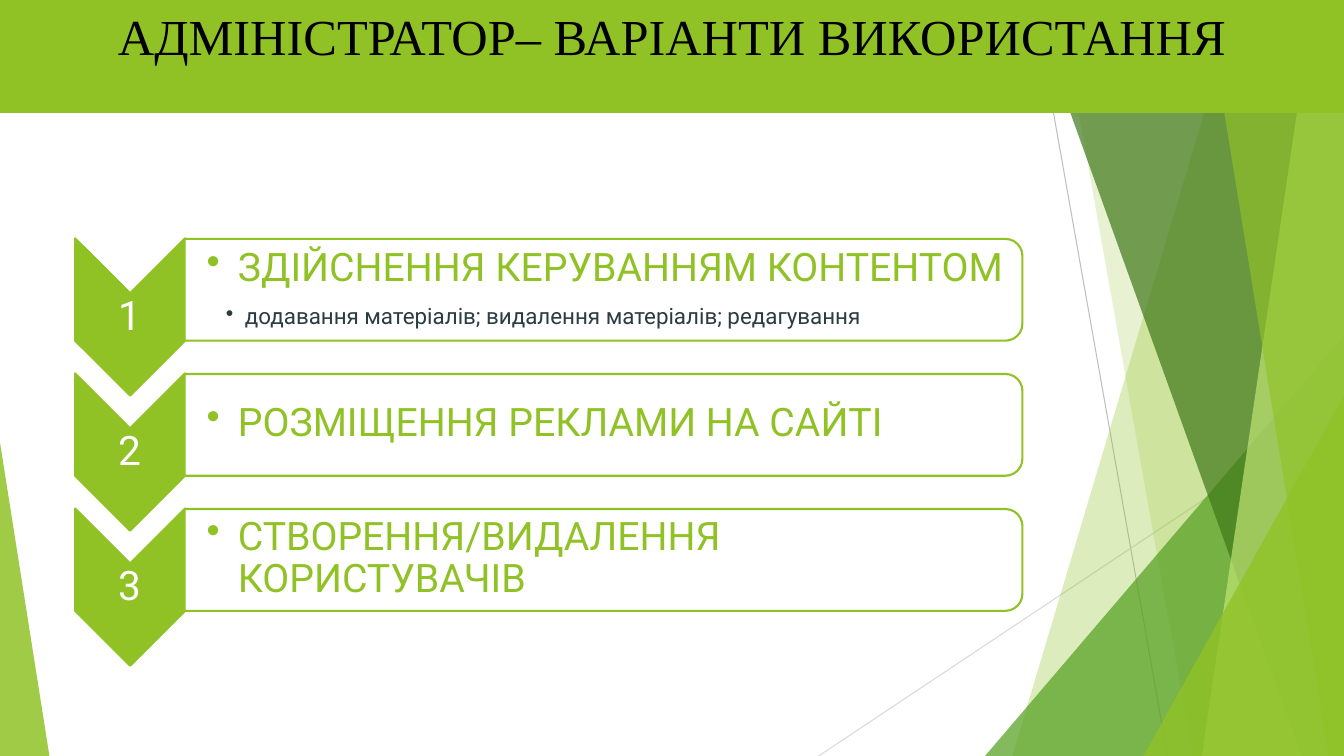
from lxml import etree
from pptx import Presentation
from pptx import util as u
from pptx.dml import color
from pptx.enum import shapes, text
from pptx.oxml import ns

COLORS = {
    "lime": "90C226", "green": "54A021", "forest": "3F7819", "pale": "C0E474",
    "white": "FFFFFF", "black": "000000", "slate": "2C3C43",
    "silver": "BFBFBF", "mist": "D9D9D9",
}
KINDS = shapes.MSO_SHAPE
TOP, RIGHT, BOTTOM = -0.01, 13.33, 7.5


def rgb(name):
    return color.RGBColor.from_string(COLORS[name])


def write(para, content, size, font="Roboto", ink="lime", align=None, bullet_indent=0,
          line_spacing=None, before=0, after=0):
    if bullet_indent:
        properties = para._p.get_or_add_pPr()
        properties.set("marL", str(u.Inches(bullet_indent[0])))
        properties.set("indent", str(u.Inches(-bullet_indent[1])))
        etree.SubElement(properties, ns.qn("a:buChar"), char="•")
    para.alignment = align
    para.line_spacing = line_spacing
    para.space_before = u.Pt(before)
    para.space_after = u.Pt(after)
    span = para.add_run()
    span.text = content
    span.font.size = u.Pt(size)
    span.font.name = font
    span.font.color.rgb = rgb(ink)


class Slide:
    def __init__(self, deck):
        self.page = deck.slides.add_slide(deck.slide_layouts[5])

    def paint(self, shape, fill, alpha=100, line=None):
        shape.shadow.inherit = False
        shape.fill.solid()
        shape.fill.fore_color.rgb = rgb(fill)
        if alpha < 100:
            tint = shape._element.spPr.find(".//" + ns.qn("a:srgbClr"))
            etree.SubElement(tint, ns.qn("a:alpha"), val=str(alpha * 1000))
        if line:
            shape.line.color.rgb = rgb(line)
            shape.line.width = u.Pt(1.5)
        else:
            shape.line.fill.background()

    def line(self, start, end, ink):
        line = self.page.shapes.add_connector(
            shapes.MSO_CONNECTOR.STRAIGHT, *map(u.Inches, start + end))
        line.line.color.rgb = rgb(ink)
        line.line.width = u.Pt(0.75)
        etree.SubElement(line._element.spPr, ns.qn("a:effectLst"))

    def shard(self, top_x, bottom_x, fill, alpha):
        builder = self.page.shapes.build_freeform(u.Inches(top_x), u.Inches(TOP))
        corners = [(RIGHT, TOP), (RIGHT, BOTTOM), (bottom_x, BOTTOM)]
        builder.add_line_segments([tuple(map(u.Inches, c)) for c in corners], close=True)
        self.paint(builder.convert_to_shape(), fill, alpha)

    def shape(self, kind, place, fill, alpha=100, line=None, turn=0, adjust=None):
        shape = self.page.shapes.add_shape(kind, *map(u.Inches, place))
        shape.rotation = turn
        if adjust is not None:
            shape.adjustments[0] = adjust
        self.paint(shape, fill, alpha, line)

    def textbox(self, place, left_inset=0.02):
        box = self.page.shapes.add_textbox(*map(u.Inches, place))
        frame = box.text_frame
        frame.word_wrap = True
        frame.vertical_anchor = text.MSO_ANCHOR.MIDDLE
        frame.margin_left = u.Inches(left_inset)
        frame.margin_top = frame.margin_right = frame.margin_bottom = u.Inches(0.02)
        return frame

    def title(self, content):
        title = self.page.shapes.title
        title.left, title.top, title.width, title.height = map(u.Inches, (0, 0, 13.33, 1.12))
        title.fill.solid()
        title.fill.fore_color.rgb = rgb("lime")
        frame = title.text_frame
        frame.word_wrap = True
        frame.auto_size = text.MSO_AUTO_SIZE.NONE
        frame.vertical_anchor = text.MSO_ANCHOR.TOP
        write(frame.paragraphs[0], content, 36, font="Times New Roman", ink="black",
              align=text.PP_ALIGN.CENTER)
        title._element.getparent().append(title._element)

    def step(self, number, heading, detail, offset):
        self.shape(KINDS.CHEVRON, (0.51, 2.6 + offset, 1.56, 1.09), "lime",
                   line="lime", turn=90)
        label = self.textbox((0.74, 2.91 + offset, 1.09, 0.47))
        write(label.paragraphs[0], str(number), 29, ink="white",
              align=text.PP_ALIGN.CENTER, line_spacing=0.9)
        self.shape(KINDS.ROUND_2_SAME_RECTANGLE, (5.48, -1.28 + offset, 1.01, 8.31),
                   "white", alpha=90, line="lime", turn=90)
        body = self.textbox((1.83, 2.41 + offset, 8.26, 0.91), left_inset=0.22)
        write(body.paragraphs[0], heading, 28, bullet_indent=(0.31, 0.31),
              line_spacing=0.9, after=4)
        if detail:
            write(body.add_paragraph(), detail, 16, ink="slate",
                  bullet_indent=(0.38, 0.19), line_spacing=0.9, before=7, after=2)


def main():
    deck = Presentation()
    deck.slide_width, deck.slide_height = u.Inches(13.33), u.Inches(7.5)
    slide = Slide(deck)

    slide.line((10.25, 0), (11.58, 7.5), "silver")
    slide.line((13.33, 4.03), (8.12, 7.5), "mist")
    slide.shard(12.28, 10.04, "lime", 30)
    slide.shard(10.5, 11.83, "lime", 20)
    slide.shape(KINDS.ISOSCELES_TRIANGLE, (9.77, 3.33, 3.56, 4.17), "green", 72, adjust=1)
    slide.shard(10.21, 12.91, "forest", 70)
    slide.shard(13.03, 11.92, "pale", 70)
    slide.shard(11.96, 13.18, "lime", 65)
    slide.shape(KINDS.ISOSCELES_TRIANGLE, (11.34, 3.93, 1.99, 3.57), "lime", 80, adjust=1)
    slide.shape(KINDS.ISOSCELES_TRIANGLE, (0, 4.39, 0.49, 3.11), "lime", 85, adjust=0)

    slide.title("АДМІНІСТРАТОР– ВАРІАНТИ ВИКОРИСТАННЯ")
    steps = [
        ("ЗДІЙСНЕННЯ КЕРУВАННЯМ КОНТЕНТОМ",
         "додавання матеріалів; видалення матеріалів; редагування"),
        ("РОЗМІЩЕННЯ РЕКЛАМИ НА САЙТІ", None),
        ("СТВОРЕННЯ/ВИДАЛЕННЯ КОРИСТУВАЧІВ", None),
    ]
    for index, (heading, detail) in enumerate(steps):
        slide.step(index + 1, heading, detail, index * 1.34)

    deck.save("out.pptx")


if __name__ == "__main__":
    main()
